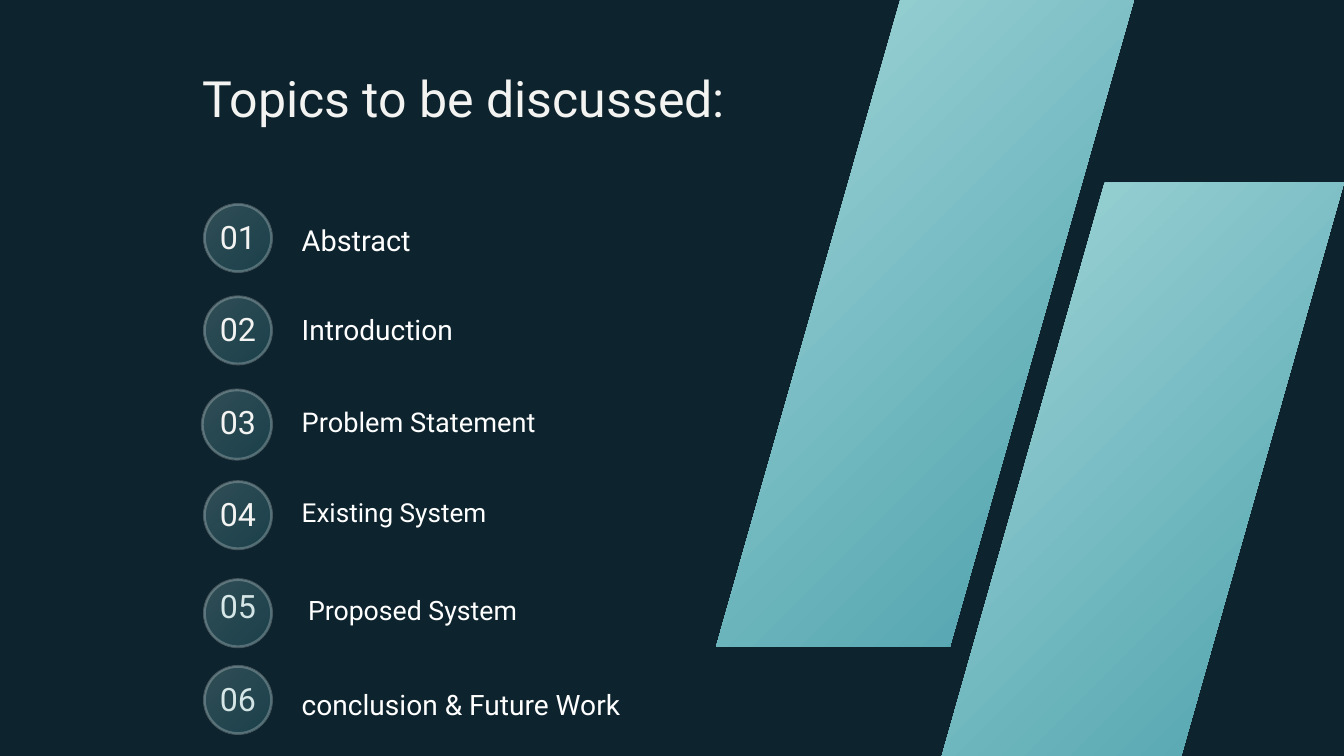
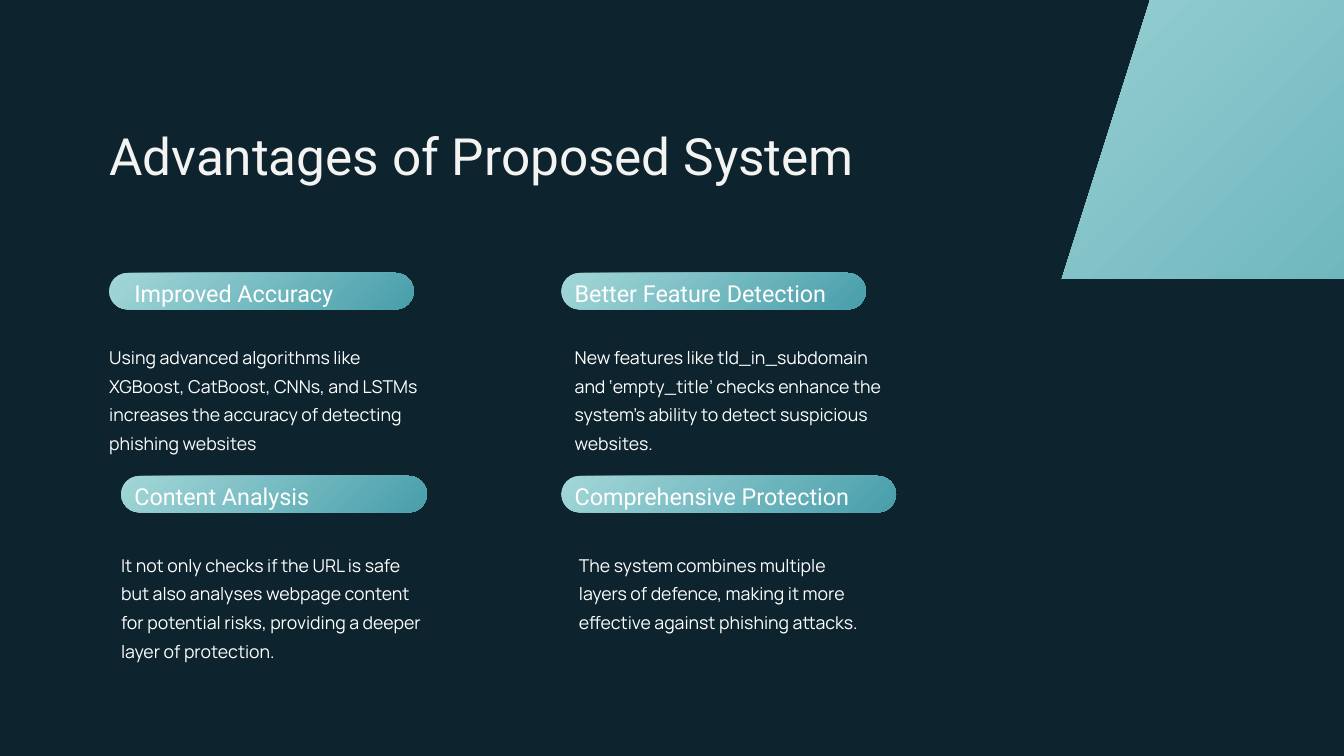
"""Builds two slides on phishing website detection: topics and advantages."""
from lxml.etree import SubElement
from pptx import Presentation
from pptx.dml.color import RGBColor
from pptx.enum.shapes import MSO_SHAPE
from pptx.enum.text import MSO_ANCHOR, MSO_AUTO_SIZE, PP_ALIGN
from pptx.oxml.ns import qn
from pptx.util import Emu, Pt

PX = 9525
POINTS_PER_PX = 0.75
WIDTH, HEIGHT = 1920, 1080

BACKGROUND = "0D232D"
GRADIENT = ("A3D7D8", "489EAB")
WHITE = "FFFFFF"
OFF_WHITE = "F3F3F2"
HEADING_FONT = "Roboto"
TEXT_FONT = "Manrope"
TIGHT, LOOSE, AIRY = 1.16, 1.4, 1.61

TOPICS_TITLE = ("Topics to be discussed:", (289, 99, 920, 84), 53.6)
TOPICS = [
    {"label": "Abstract", "top": 309, "size": 31, "indent": 0},
    {"label": "Introduction", "top": 439, "size": 30.1, "indent": 0},
    {"label": "Problem Statement", "top": 571, "size": 29.1, "indent": 0},
    {"label": "Existing System", "top": 702, "size": 28, "indent": 0},
    {"label": "Proposed System", "top": 840, "size": 28.6, "indent": 9},
    {"label": "conclusion & Future Work", "top": 974, "size": 30.1, "indent": 0},
]
BADGES = [
    {"top": 292, "diameter": 96, "veils_number": False},
    {"top": 424, "diameter": 96, "veils_number": False},
    {"top": 557, "diameter": 99, "veils_number": False},
    {"top": 688, "diameter": 96, "veils_number": False},
    {"top": 828, "diameter": 96, "veils_number": True},
    {"top": 952, "diameter": 96, "veils_number": True},
]
BADGE_RIGHT = 388
NUMBER_LEFT, NUMBER_TOP, NUMBER_STEP = 292, 312, 132
LABEL_LEFT, LABEL_WIDTH = 431, 650
TOPICS_SLABS = [((1023, -21, 603, 945), 269), ((1325, 261, 595, 891), 253)]

ADVANTAGES_TITLE = ("Advantages of Proposed System", (156, 180, 1149, 84), 55)
ADVANTAGES = [
    {"heading": "Improved Accuracy", "row": 0, "column": 0,
     "pill": (156, 435), "body": (156, 457),
     "text": "Using advanced algorithms like XGBoost, CatBoost, CNNs, and LSTMs "
             "increases the accuracy of detecting phishing websites"},
    {"heading": "Better Feature Detection", "row": 0, "column": 1,
     "pill": (802, 435), "body": (821, 460),
     "text": "New features like tld_in_subdomain and ‘empty_title’ checks enhance "
             "the system’s ability to detect suspicious websites."},
    {"heading": "Content Analysis", "row": 1, "column": 0,
     "pill": (173, 437), "body": (173, 443),
     "text": "It not only checks if the URL is safe but also analyses webpage content "
             "for potential risks, providing a deeper layer of protection."},
    {"heading": "Comprehensive Protection", "row": 1, "column": 1,
     "pill": (802, 478), "body": (827, 411),
     "text": "The system combines multiple layers of defence, making it more "
             "effective against phishing attacks."},
]
PILL_TOPS, BODY_TOPS, HEADING_LEFTS = (390, 680), (485, 782), (192, 821)
PILL_HEIGHT, BODY_HEIGHT = 52, 160
HEADING_WIDTH, HEADING_HEIGHT, HEADING_DROP = 460, 45, 2
ADVANTAGES_SLABS = [((1517, -278, 1214, 676), 214)]


def rgb(value):
    """Return the colour for a hex string."""
    return RGBColor.from_string(value)


def scaled(box):
    """Turn px lengths into EMU."""
    return [Emu(length * PX) for length in box]


def place(shape, box):
    """Move a shape to a px box."""
    shape.left, shape.top, shape.width, shape.height = scaled(box)


def prepare_frame(shape):
    """Give a text frame no margins, top anchoring and wrapping."""
    frame = shape.text_frame
    frame.margin_left = frame.margin_top = frame.margin_right = frame.margin_bottom = 0
    frame.word_wrap = True
    frame.auto_size = MSO_AUTO_SIZE.NONE
    frame.vertical_anchor = MSO_ANCHOR.TOP
    return frame


def style_paragraph(paragraph, size, ratio, color=WHITE, font=HEADING_FONT,
                    align=PP_ALIGN.LEFT):
    """Format a paragraph and its runs."""
    paragraph.alignment = align
    paragraph.line_spacing = Pt(round(size * ratio, 1))
    paragraph.space_before = paragraph.space_after = Pt(0)
    for run in paragraph.runs:
        run.font.size = Pt(size)
        run.font.name = font
        run.font.color.rgb = rgb(color)


def add_text(slide, text, box, size, ratio, **style):
    """Add a one-paragraph text box."""
    frame = prepare_frame(slide.shapes.add_textbox(*scaled(box)))
    frame.text = text
    style_paragraph(frame.paragraphs[0], size, ratio, **style)


def add_title(slide, text, box, size):
    """Fill and format the title placeholder."""
    title = slide.shapes.title
    place(title, box)
    frame = prepare_frame(title)
    frame.text = text
    style_paragraph(frame.paragraphs[0], size, TIGHT, OFF_WHITE, align=PP_ALIGN.JUSTIFY)


def add_gradient_shape(slide, kind, box, adjustment=None):
    """Add a preset shape with the shared diagonal gradient."""
    shape = slide.shapes.add_shape(kind, *scaled(box))
    shape.shadow.inherit = False
    shape.fill.gradient()
    shape.fill.gradient_angle = 315
    for stop, color, position in zip(shape.fill.gradient_stops, GRADIENT, (0, 1)):
        stop.color.rgb = rgb(color)
        stop.position = position
    shape.line.fill.background()
    if adjustment is not None:
        shape.adjustments[0] = adjustment
    return shape


def add_slabs(slide, slabs):
    """Add the large slanted slabs."""
    for box, skew in slabs:
        add_gradient_shape(slide, MSO_SHAPE.PARALLELOGRAM, box, skew / min(box[2:]))


def add_badge(slide, top, diameter):
    """Add a translucent outlined circle."""
    box = (BADGE_RIGHT - diameter, top, diameter, diameter)
    badge = add_gradient_shape(slide, MSO_SHAPE.OVAL, box)
    badge.line.color.rgb = rgb(WHITE)
    badge.line.width = Pt(3)
    for color in badge.element.spPr.iter(qn("a:srgbClr")):
        SubElement(color, qn("a:alpha"), val="24000")


def add_topic_list(slide):
    """Fill the body placeholder, spacing each topic to its top."""
    first_top = TOPICS[0]["top"]
    body = slide.placeholders[1]
    place(body, (LABEL_LEFT, first_top, LABEL_WIDTH, HEIGHT - first_top))
    frame = prepare_frame(body)
    frame.text = "\n".join(topic["label"] for topic in TOPICS)
    previous_bottom = first_top * POINTS_PER_PX
    for paragraph, topic in zip(frame.paragraphs, TOPICS):
        style_paragraph(paragraph, topic["size"], LOOSE)
        top = topic["top"] * POINTS_PER_PX
        paragraph.space_before = Pt(round(top - previous_bottom, 1))
        previous_bottom = top + paragraph.line_spacing.pt
        properties = paragraph._p.get_or_add_pPr()
        properties.set("marL", str(topic["indent"] * PX))
        properties.set("indent", "0")
        SubElement(properties, qn("a:buNone"))


def build_topics(presentation):
    """Build the numbered topics slide."""
    slide = presentation.slides.add_slide(presentation.slide_layouts[1])
    add_title(slide, *TOPICS_TITLE)
    add_topic_list(slide)
    add_slabs(slide, TOPICS_SLABS)
    for index, badge in enumerate(BADGES):
        if not badge["veils_number"]:
            add_badge(slide, badge["top"], badge["diameter"])
        number_box = (NUMBER_LEFT, NUMBER_TOP + index * NUMBER_STEP, 96, 55)
        add_text(slide, f"{index + 1:02}", number_box, 34.5, TIGHT,
                 color=OFF_WHITE, align=PP_ALIGN.CENTER)
        if badge["veils_number"]:
            add_badge(slide, badge["top"], badge["diameter"])


def build_advantages(presentation):
    """Build the slide with four advantages in a grid."""
    slide = presentation.slides.add_slide(presentation.slide_layouts[5])
    add_title(slide, *ADVANTAGES_TITLE)
    for advantage in ADVANTAGES:
        pill_top = PILL_TOPS[advantage["row"]]
        pill_left, pill_width = advantage["pill"]
        body_left, body_width = advantage["body"]
        add_gradient_shape(slide, MSO_SHAPE.ROUNDED_RECTANGLE,
                           (pill_left, pill_top, pill_width, PILL_HEIGHT), 0.5)
        heading_box = (HEADING_LEFTS[advantage["column"]], pill_top + HEADING_DROP,
                       HEADING_WIDTH, HEADING_HEIGHT)
        add_text(slide, advantage["heading"], heading_box, 25, LOOSE)
        body_box = (body_left, BODY_TOPS[advantage["row"]], body_width, BODY_HEIGHT)
        add_text(slide, advantage["text"], body_box, 19, AIRY, font=TEXT_FONT)
    add_slabs(slide, ADVANTAGES_SLABS)


def main():
    """Build and save the presentation."""
    presentation = Presentation()
    presentation.slide_width, presentation.slide_height = scaled((WIDTH, HEIGHT))
    background = presentation.slide_master.background.fill
    background.solid()
    background.fore_color.rgb = rgb(BACKGROUND)
    build_topics(presentation)
    build_advantages(presentation)
    presentation.save("out.pptx")


if __name__ == "__main__":
    main()
